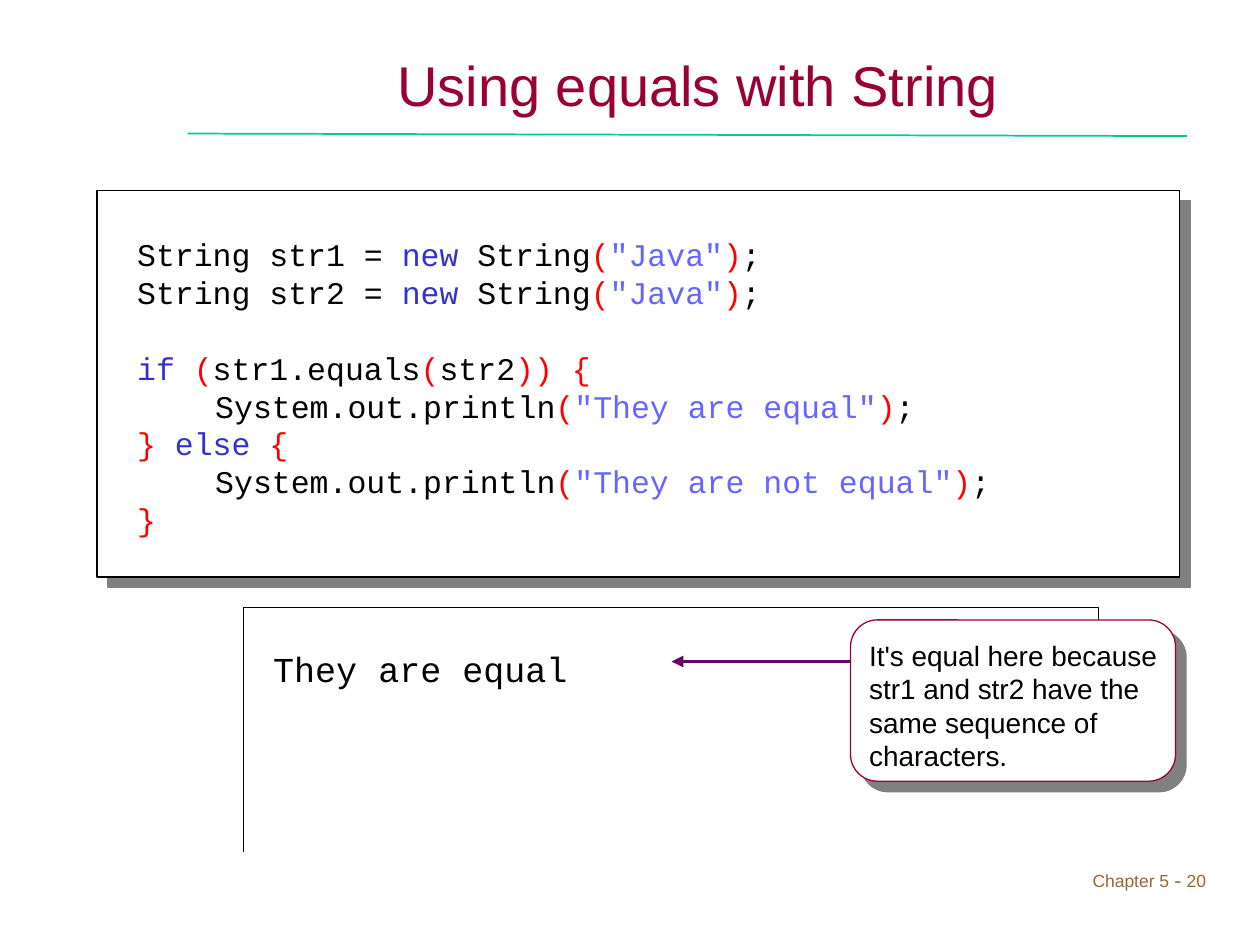
"""Build the slide that shows how equals compares two strings."""
from lxml import etree
from pptx import Presentation
from pptx.dml.color import RGBColor
from pptx.enum.shapes import MSO_CONNECTOR, MSO_SHAPE
from pptx.enum.text import MSO_ANCHOR, PP_ALIGN
from pptx.oxml.ns import qn
from pptx.util import Inches, Pt

STRAIGHT = MSO_CONNECTOR.STRAIGHT
RECTANGLE, ROUNDED = MSO_SHAPE.RECTANGLE, MSO_SHAPE.ROUNDED_RECTANGLE
MIDDLE = MSO_ANCHOR.MIDDLE
LEFT, CENTER, RIGHT = PP_ALIGN.LEFT, PP_ALIGN.CENTER, PP_ALIGN.RIGHT

COLORS = {
    "plain": "000000", "keyword": "3333CC", "bracket": "FF0000", "string": "6666FF",
    "title": "990033", "rule": "00CC99", "arrow": "660066", "footer": "996633",
    "panel": "FFFFFF", "shadow": "808080",
}

deck = Presentation()
deck.slide_width, deck.slide_height = Inches(10), Inches(7.5)
page = deck.slides.add_slide(deck.slide_layouts[5])
COLUMN, ROW = deck.slide_width / 100, deck.slide_height / 75


def grid(*lengths):
    """Turn alternating columns and rows into slide lengths."""
    return [round(value * (ROW if i % 2 else COLUMN)) for i, value in enumerate(lengths)]


def write(para, spans, size, font, align=LEFT):
    """Fill a paragraph with coloured spans of one font."""
    para.alignment = align
    for text, color in spans:
        span = para.add_run()
        span.text = text
        span.font.size, span.font.name = Pt(size), font
        span.font.color.rgb = RGBColor.from_string(COLORS[color])


footer = page.shapes.add_textbox(*grid(75, 68.3, 21.7, 5)).text_frame
footer.word_wrap = True
footer_para = footer.paragraphs[0]
write(footer_para, [("Chapter 5", "footer"), (" - ", "footer"), ("20", "footer")], 10, "Arial", RIGHT)
dash = footer_para.runs[1].font
dash.size, dash.name = Pt(12), "Times New Roman"

title = page.shapes.title
title.left, title.top, title.width, title.height = grid(15, 2.5, 80.8, 8.3)
title.text_frame.vertical_anchor = MIDDLE
write(title.text_frame.paragraphs[0], [("Using equals with String", "title")], 32, "Arial", CENTER)

output = page.shapes.build_freeform(*grid(19.3, 67.6), scale=1.0)
output.add_line_segments(
    [grid(*point) for point in [(19.3, 48.2), (87.2, 48.2), (87.2, 60.7)]], close=False)
output_frame = output.convert_to_shape()
output_frame.shadow.inherit = False
output_frame.fill.background()
output_frame.line.width = Pt(0.75)
output_frame.line.color.rgb = RGBColor.from_string(COLORS["plain"])

for start_end, color, width, has_arrow in [
    ((53.3, 52.5, 67.5, 52.5), "arrow", 2.25, True),
    ((14.9, 10.6, 94.2, 10.8), "rule", 1, False),
]:
    connector = page.shapes.add_connector(STRAIGHT, *grid(*start_end))
    connector.line.width = Pt(width)
    connector.line.color.rgb = RGBColor.from_string(COLORS[color])
    properties = connector._element.spPr
    etree.SubElement(properties, qn("a:effectLst"))
    if has_arrow:
        etree.SubElement(properties.find(qn("a:ln")), qn("a:headEnd"), type="triangle")

for kind, place, border in [
    (RECTANGLE, (7.7, 15.1, 85.9, 30.7), "plain"),
    (ROUNDED, (67.5, 49.2, 25.8, 12.8), "title"),
]:
    panel = page.shapes.add_shape(kind, *grid(*place))
    panel.shadow.inherit = False
    panel.fill.solid()
    panel.fill.fore_color.rgb = RGBColor.from_string(COLORS["panel"])
    panel.line.width = Pt(0.75)
    panel.line.color.rgb = RGBColor.from_string(COLORS[border])
    effects = panel._element.spPr.find(qn("a:effectLst"))
    shadow = etree.SubElement(
        effects, qn("a:outerShdw"), dist=str(Pt(8.5)), dir="2700000", algn="ctr", rotWithShape="0")
    etree.SubElement(shadow, qn("a:srgbClr"), val=COLORS["shadow"])

declarations = [
    [(f"String {name} = ", "plain"), ("new", "keyword"), (" String", "plain"), ("(", "bracket"),
     ('"Java"', "string"), (")", "bracket"), (";", "plain")]
    for name in ("str1", "str2")
]
prints = [
    [("System.out.println", "plain"), ("(", "bracket"), (f'"{message}"', "string"),
     (")", "bracket"), (";", "plain")]
    for message in ("They are equal", "They are not equal")
]
condition = [("if ", "keyword"), ("(", "bracket"), ("str1.equals", "plain"), ("(", "bracket"),
             ("str2", "plain"), (")) {", "bracket")]
otherwise = [("} ", "bracket"), ("else ", "keyword"), ("{", "bracket")]
code_lines = [*declarations, condition, prints[0], otherwise, prints[1], [("}", "bracket")]]

code = page.shapes.add_textbox(*grid(9.9, 18.2, 81.6, 25)).text_frame
code.word_wrap = True
for number, spans in enumerate(code_lines):
    para = code.add_paragraph() if number else code.paragraphs[0]
    write(para, spans, 18, "Courier New")
    para.line_spacing = Pt(21.6)
    if spans is condition:
        para.space_before = Pt(21.6)
    if spans in prints:
        para._p.get_or_add_pPr().set("marL", str(Inches(0.62)))

for place, text, size, font, spacing in [
    ((20.7, 50.9, 39, 4.4), "They are equal", 20, "Courier New", 24),
    ((68, 50.2, 24.9, 11.7), "It's equal here because str1 and str2 have the same sequence of characters.",
     16, "Arial", 19.1),
]:
    box = page.shapes.add_textbox(*grid(*place)).text_frame
    box.word_wrap = True
    write(box.paragraphs[0], [(text, "plain")], size, font)
    box.paragraphs[0].line_spacing = Pt(spacing)

deck.save("out.pptx")
